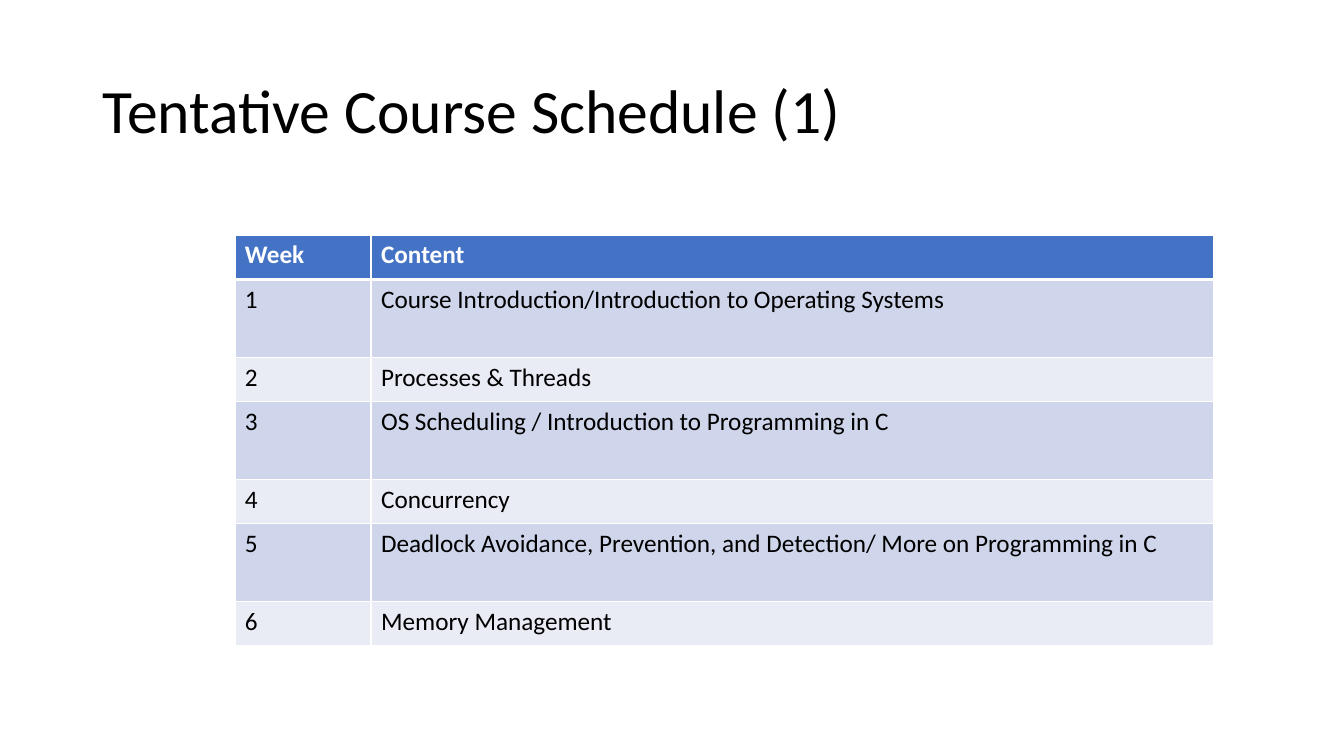
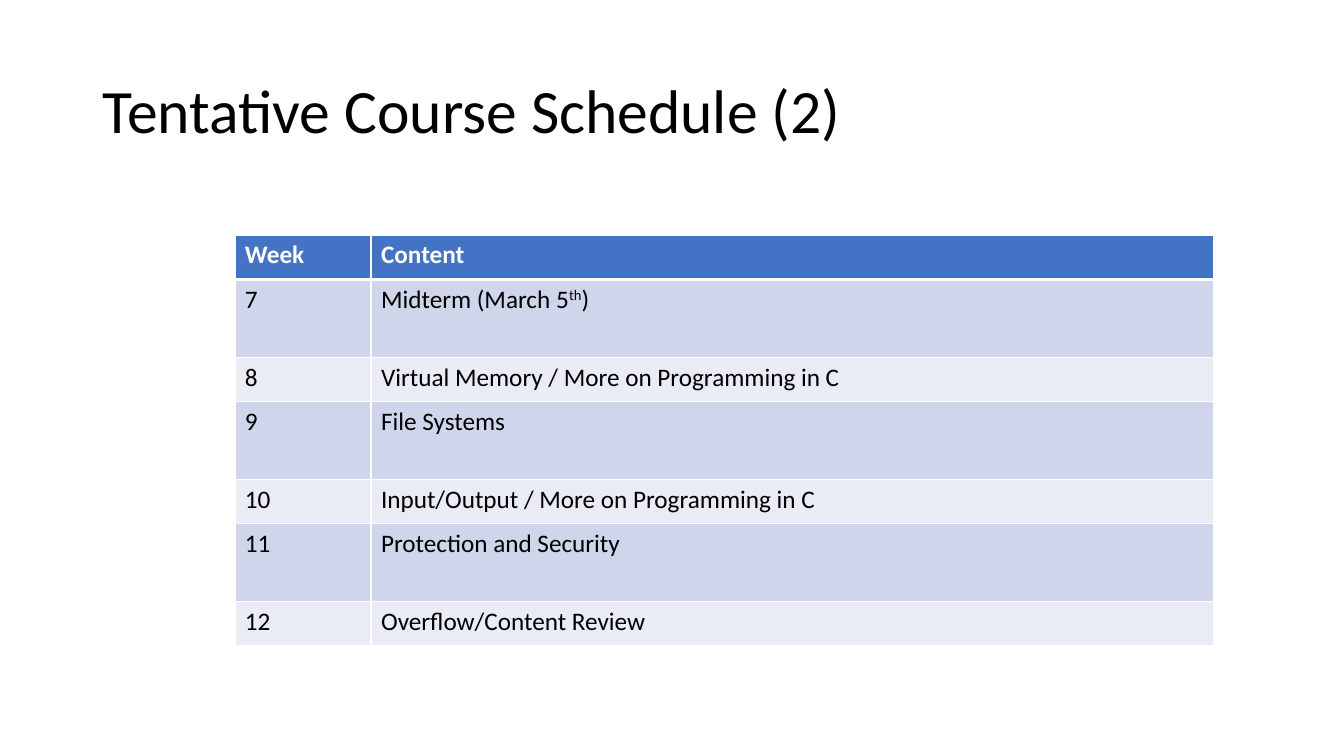
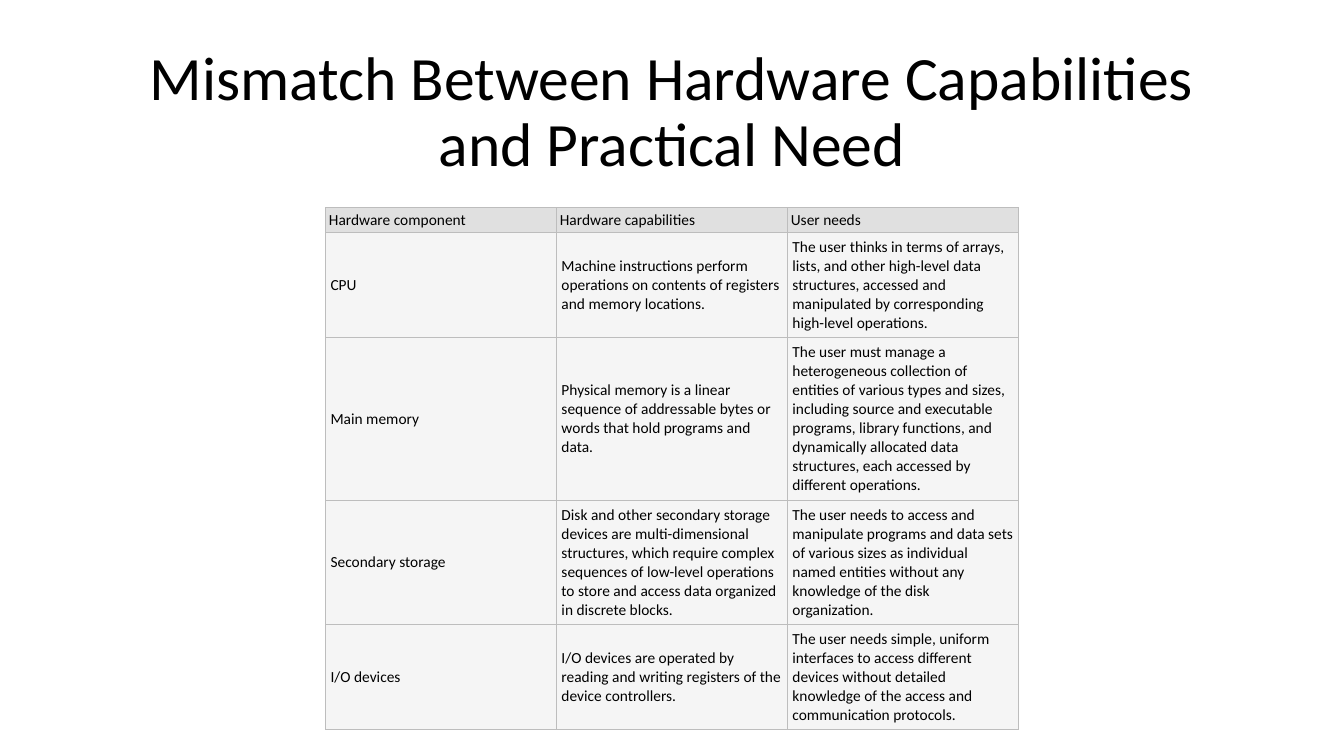
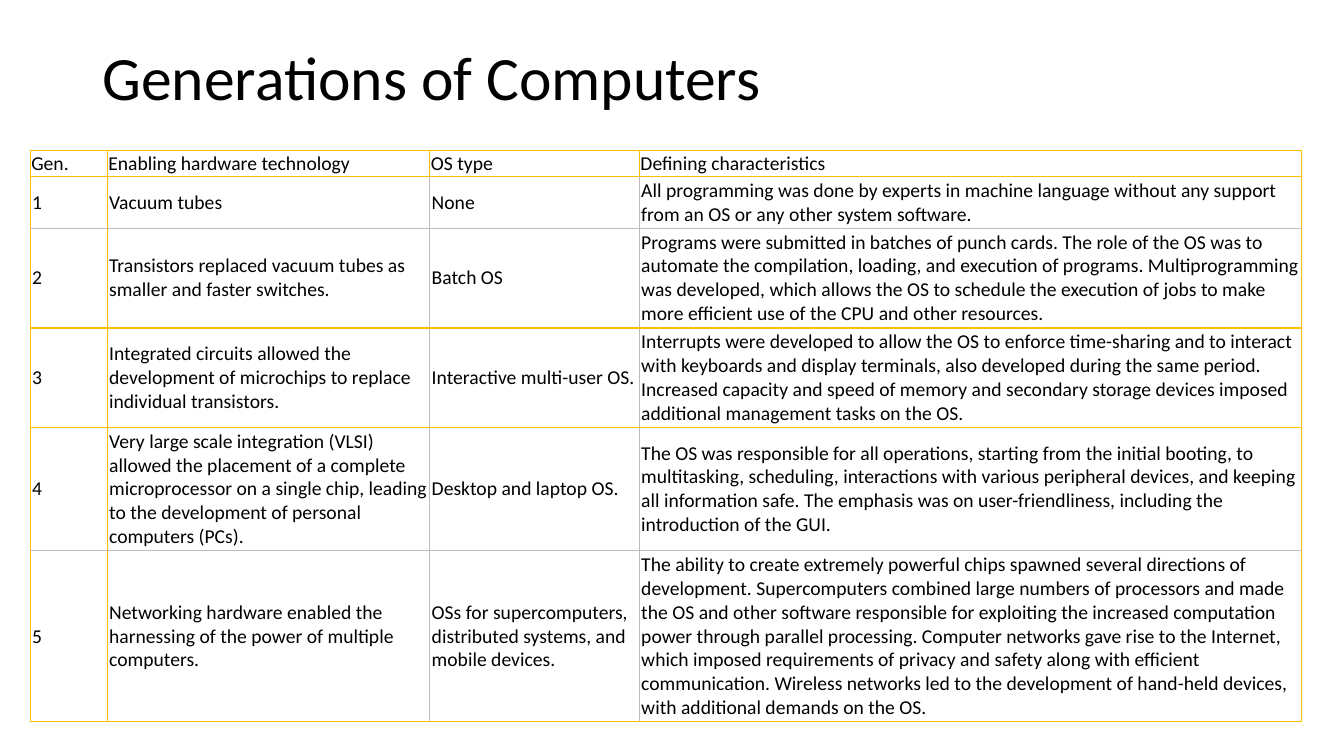
from dataclasses import dataclass
from typing import Callable

from lxml import etree
from pptx import Presentation
from pptx.dml.color import RGBColor as Rgb
from pptx.enum.text import MSO_ANCHOR as Anchor, MSO_AUTO_SIZE as Fit, PP_ALIGN as Align
from pptx.oxml.ns import qn
from pptx.util import Cm, Pt

FONT = "Calibri"
HUES = {
    "text": "000000",
    "white": "FFFFFF",
    "blue": "4472C4",
    "band": "CFD5EA",
    "pale": "E9EBF5",
    "head": "E0E0E0",
    "cell": "F5F5F5",
    "grey": "BDBDBD",
    "gold": "FFC000",
}


@dataclass
class Look:
    """Fill and pen give the colours of a row and of a grid line."""
    size: int
    fill: Callable
    pen: Callable
    pads: tuple = None
    anchor: Anchor = Anchor.MIDDLE
    ink: str = "text"
    bold: bool = False


def week_fill(row):
    return "blue" if row == 0 else "band" if row % 2 else "pale"


def week_pen(axis, line, row):
    return "white", 3 if (axis, line) == ("h", 1) else 1


def need_fill(row):
    return "cell" if row else "head"


def need_pen(axis, line, row):
    return "grey", 0.75


def age_fill(row):
    return None


def age_pen(axis, line, row):
    inner = line in (2, 3) and row > 0 if axis == "v" else line in (2, 5)
    return ("grey", 0.75) if inner else ("gold", 1)


WEEK = Look(18, week_fill, week_pen, anchor=Anchor.TOP, ink="white", bold=True)
NEED = Look(11, need_fill, need_pen, (0.08, 0.12))
AGE = Look(14, age_fill, age_pen, (0.03, 0.05))

WEEKS_1 = [
    ("Week", "Content"),
    ("1", "Course Introduction/Introduction to Operating Systems"),
    ("2", "Processes & Threads"),
    ("3", "OS Scheduling / Introduction to Programming in C"),
    ("4", "Concurrency"),
    ("5", "Deadlock Avoidance, Prevention, and Detection/ More on Programming in C"),
    ("6", "Memory Management"),
]
WEEKS_2 = [
    ("Week", "Content"),
    ("7", "Midterm (March 5^th^)"),
    ("8", "Virtual Memory / More on Programming in C"),
    ("9", "File Systems"),
    ("10", "Input/Output / More on Programming in C"),
    ("11", "Protection and Security"),
    ("12", "Overflow/Content Review"),
]
NEEDS = [
    ("Hardware component", "Hardware capabilities", "User needs"),
    ("CPU",
     "Machine instructions perform operations on contents of registers and memory locations.",
     "The user thinks in terms of arrays, lists, and other high-level data structures, "
     "accessed and manipulated by corresponding high-level operations."),
    ("Main memory",
     "Physical memory is a linear sequence of addressable bytes or words that hold "
     "programs and data.",
     "The user must manage a heterogeneous collection of entities of various types and "
     "sizes, including source and executable programs, library functions, and dynamically "
     "allocated data structures, each accessed by different operations."),
    ("Secondary storage",
     "Disk and other secondary storage devices are multi-dimensional structures, which "
     "require complex sequences of low-level operations to store and access data organized "
     "in discrete blocks.",
     "The user needs to access and manipulate programs and data sets of various sizes as "
     "individual named entities without any knowledge of the disk organization."),
    ("I/O devices",
     "I/O devices are operated by reading and writing registers of the device controllers.",
     "The user needs simple, uniform interfaces to access different devices without "
     "detailed knowledge of the access and communication protocols."),
]
AGES = [
    ("Gen.", "Enabling hardware technology", "OS type", "Defining characteristics"),
    ("1", "Vacuum tubes", "None",
     "All programming was done by experts in machine language without any support from an "
     "OS or any other system software."),
    ("2", "Transistors replaced vacuum tubes as smaller and faster switches.", "Batch OS",
     "Programs were submitted in batches of punch cards. The role of the OS was to automate "
     "the compilation, loading, and execution of programs. Multiprogramming was developed, "
     "which allows the OS to schedule the execution of jobs to make more efficient use of "
     "the CPU and other resources."),
    ("3",
     "Integrated circuits allowed the development of microchips to replace individual "
     "transistors.",
     "Interactive multi-user OS.",
     "Interrupts were developed to allow the OS to enforce time-sharing and to interact "
     "with keyboards and display terminals, also developed during the same period. "
     "Increased capacity and speed of memory and secondary storage devices imposed "
     "additional management tasks on the OS."),
    ("4",
     "Very large scale integration (VLSI) allowed the placement of a complete "
     "microprocessor on a single chip, leading to the development of personal computers "
     "(PCs).",
     "Desktop and laptop OS.",
     "The OS was responsible for all operations, starting from the initial booting, to "
     "multitasking, scheduling, interactions with various peripheral devices, and keeping "
     "all information safe. The emphasis was on user-friendliness, including the "
     "introduction of the GUI."),
    ("5",
     "Networking hardware enabled the harnessing of the power of multiple computers.",
     "OSs for supercomputers, distributed systems, and mobile devices.",
     "The ability to create extremely powerful chips spawned several directions of "
     "development. Supercomputers combined large numbers of processors and made the OS and "
     "other software responsible for exploiting the increased computation power through "
     "parallel processing. Computer networks gave rise to the Internet, which imposed "
     "requirements of privacy and safety along with efficient communication. Wireless "
     "networks led to the development of hand-held devices, with additional demands on "
     "the OS."),
]


def style(run, size, hue, bold=False):
    font = run.font
    font.name, font.size, font.bold = FONT, Pt(size), bold
    font.color.rgb = Rgb.from_string(HUES[hue])


def add_slide(deck, text, top=1.02, align=Align.LEFT):
    slide = deck.slides.add_slide(deck.slide_layouts[5])
    title = slide.shapes.title
    title.left, title.top, title.width, title.height = Cm(2.33), Cm(top), Cm(29.21), Cm(3.68)
    frame = title.text_frame
    frame.text = text
    frame.auto_size, frame.vertical_anchor = Fit.NONE, Anchor.MIDDLE
    para = frame.paragraphs[0]
    para.alignment, para.line_spacing = align, 0.9
    style(para.runs[0], 44, "text")
    return slide


def add_edge(cell, side, hue, width):
    line = etree.SubElement(cell._tc.get_or_add_tcPr(), qn(f"a:ln{side}"), w=str(Pt(width)))
    fill = etree.SubElement(line, qn("a:solidFill"))
    etree.SubElement(fill, qn("a:srgbClr"), val=HUES[hue])


def write(cell, text, size, hue, bold):
    """Parts between ^ marks are raised."""
    para = cell.text_frame.paragraphs[0]
    for i, part in enumerate(text.split("^")):
        run = para.add_run()
        run.text = part
        style(run, size, hue, bold)
        if i % 2:
            run._r.get_or_add_rPr().set("baseline", "30000")


def fill_cell(cell, text, row, col, look):
    edges = {"L": ("v", col), "R": ("v", col + 1), "T": ("h", row), "B": ("h", row + 1)}
    for side, (axis, line) in edges.items():
        add_edge(cell, side, *look.pen(axis, line, row))
    hue = look.fill(row)
    if hue:
        cell.fill.solid()
        cell.fill.fore_color.rgb = Rgb.from_string(HUES[hue])
    else:
        cell.fill.background()
    cell.vertical_anchor = look.anchor
    if look.pads:
        pad = Cm(look.pads[row > 0])
        cell.margin_left = cell.margin_right = cell.margin_top = cell.margin_bottom = pad
    head = row == 0
    write(cell, text, look.size, look.ink if head else "text", head and look.bold)


def add_grid(slide, left, top, widths, heights, data, look):
    table = slide.shapes.add_table(len(heights), len(widths), Cm(left), Cm(top),
                                   Cm(sum(widths)), Cm(sum(heights))).table
    table.horz_banding = False
    for col, width in zip(table.columns, widths):
        col.width = Cm(width)
    for r, (height, texts) in enumerate(zip(heights, data)):
        table.rows[r].height = Cm(height)
        for c, text in enumerate(texts):
            fill_cell(table.cell(r, c), text, r, c, look)


def main():
    deck = Presentation()
    deck.slide_width, deck.slide_height = Cm(33.87), Cm(19.05)

    for n, weeks in enumerate((WEEKS_1, WEEKS_2), 1):
        slide = add_slide(deck, f"Tentative Course Schedule ({n})")
        add_grid(slide, 5.92, 5.92, [3.43, 21.23], [1.12] + [1.96, 1.12] * 3, weeks, WEEK)

    slide = add_slide(deck, "Mismatch Between Hardware Capabilities and Practical Need",
                      align=Align.CENTER)
    add_grid(slide, 8.21, 5.23, [5.82] * 3, [0.62, 2.62, 4.1, 3.13, 2.62], NEEDS, NEED)

    slide = add_slide(deck, "Generations of Computers", top=0.18)
    add_grid(slide, 0.76, 3.79, [1.94, 8.13, 5.28, 16.69],
             [0.64, 1.29, 2.51, 2.51, 3.1, 4.3], AGES, AGE)

    deck.save("out.pptx")


if __name__ == "__main__":
    main()
